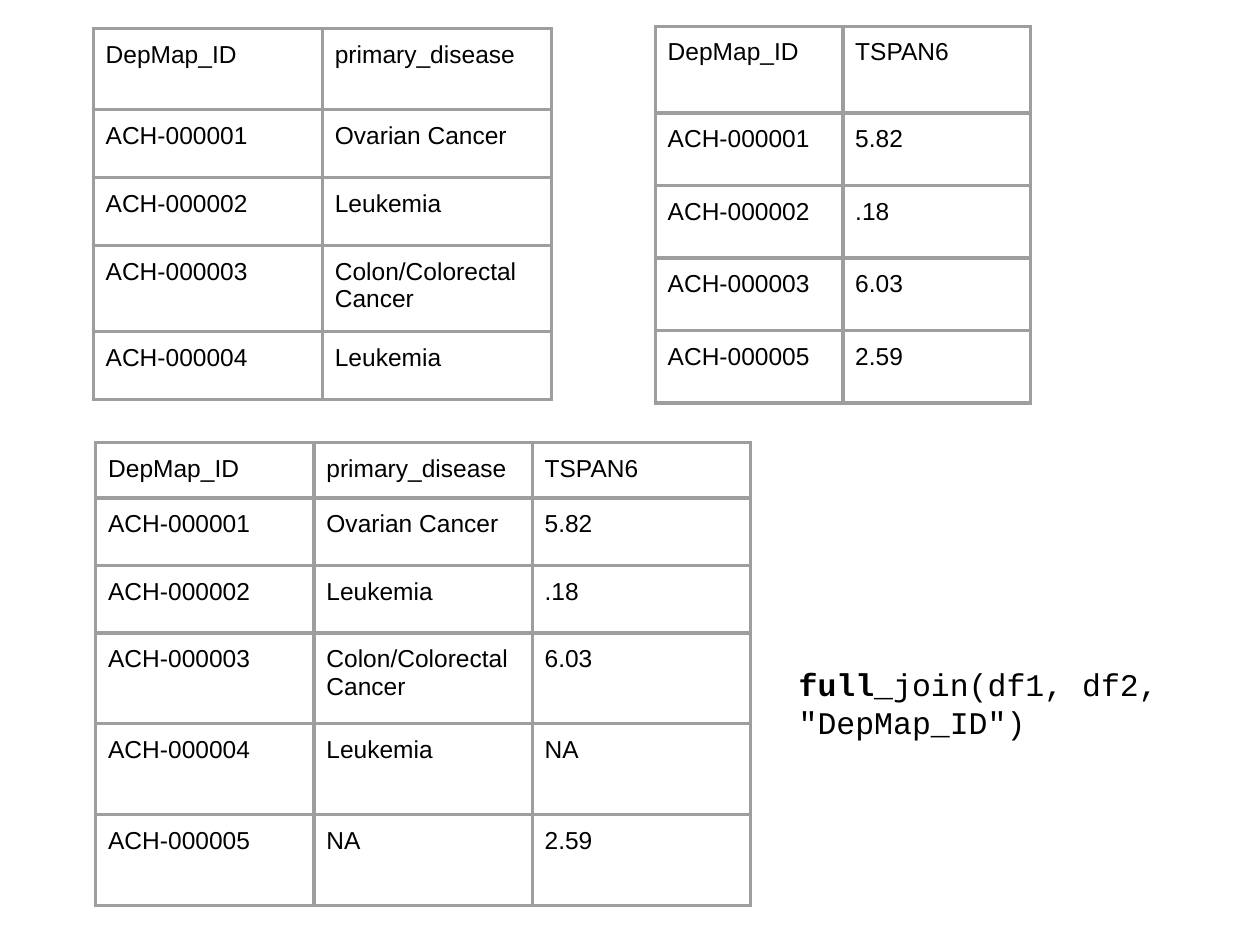
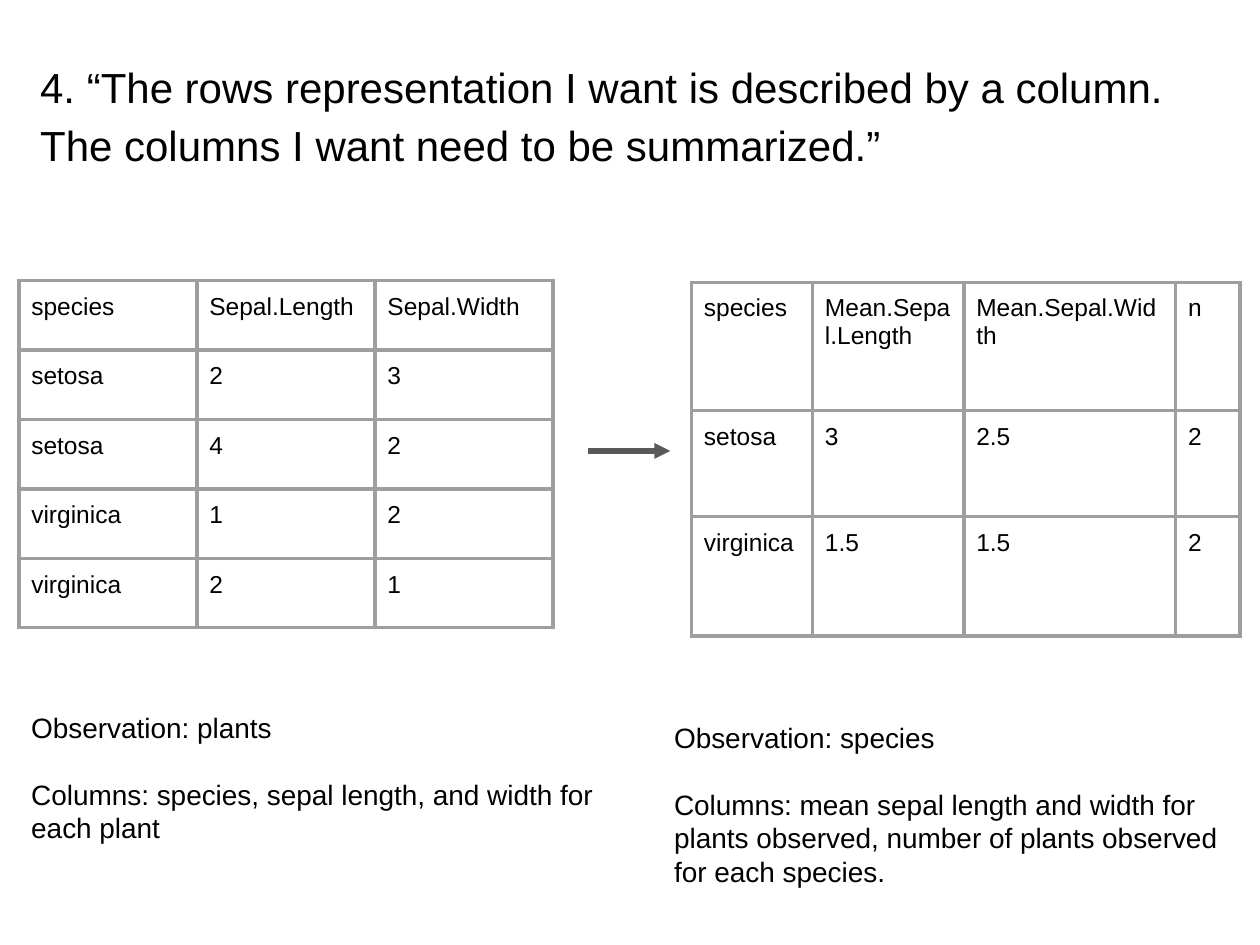
"""Build two slides on joining and summarizing data tables."""
from dataclasses import dataclass

from lxml.etree import SubElement
from pptx import Presentation
from pptx.dml.color import RGBColor
from pptx.enum.shapes import MSO_CONNECTOR
from pptx.enum.text import MSO_ANCHOR
from pptx.oxml import parse_xml
from pptx.oxml.ns import nsdecls, qn
from pptx.slide import Slide
from pptx.util import Cm, Pt

BLACK = RGBColor(0x00, 0x00, 0x00)
GRID_GRAY = RGBColor(0x9E, 0x9E, 0x9E)
ARROW_GRAY = RGBColor(0x59, 0x59, 0x59)
SANS = "Arial"
MONO = "Courier New"
INSET = Cm(0.25)
GRID_WIDTH = Pt(2.25)
BORDER_SIDES = ("lnL", "lnR", "lnT", "lnB")


@dataclass(frozen=True)
class DataTable:
    """A bordered table; lengths are in centimetres."""
    left: float
    top: float
    cols: list[float]
    heights: list[float]
    rows: list[tuple[str, ...]]


@dataclass(frozen=True)
class TextBlock:
    """A text box; lengths are in centimetres, spacing in points."""
    left: float
    top: float
    width: float
    height: float
    lines: list[tuple[str, ...]]
    size: float
    font: str = SANS
    line_spacing: float = 1.0
    gap: float = 0
    bold_first: bool = False


DISEASES = DataTable(1.88, 0.58, [4.62] * 2, [1.63, 1.37, 1.37, 1.73, 1.37], [
    ("DepMap_ID", "primary_disease"),
    ("ACH-000001", "Ovarian Cancer"),
    ("ACH-000002", "Leukemia"),
    ("ACH-000003", "Colon/Colorectal Cancer"),
    ("ACH-000004", "Leukemia"),
])
EXPRESSION = DataTable(13.21, 0.53, [3.78] * 2, [1.75] + [1.46] * 4, [
    ("DepMap_ID", "TSPAN6"),
    ("ACH-000001", "5.82"),
    ("ACH-000002", ".18"),
    ("ACH-000003", "6.03"),
    ("ACH-000005", "2.59"),
])
JOINED = DataTable(1.93, 8.92, [4.4] * 3, [1.12] + [1.36] * 2 + [1.83] * 3, [
    ("DepMap_ID", "primary_disease", "TSPAN6"),
    ("ACH-000001", "Ovarian Cancer", "5.82"),
    ("ACH-000002", "Leukemia", ".18"),
    ("ACH-000003", "Colon/Colorectal Cancer", "6.03"),
    ("ACH-000004", "Leukemia", "NA"),
    ("ACH-000005", "NA", "2.59"),
])
JOIN_CALL = TextBlock(15.85, 13.16, 9.04, 3.73,
                      [("full", '_join(df1, df2, "DepMap_ID")')],
                      18, font=MONO, bold_first=True)

TITLE = TextBlock(0.56, 0.84, 23.67, 2.11, [(
    "4. “The rows representation I want is described by a column. "
    "The columns I want need to be summarized.”",)], 24, line_spacing=1.15)
PLANTS = DataTable(0.38, 5.66, [3.59] * 3, [1.4] * 5, [
    ("species", "Sepal.Length", "Sepal.Width"),
    ("setosa", "2", "3"),
    ("setosa", "4", "2"),
    ("virginica", "1", "2"),
    ("virginica", "2", "1"),
])
SUMMARY = DataTable(13.94, 5.69, [2.44, 3.05, 4.27, 1.3], [2.59, 2.13, 2.41], [
    ("species", "Mean.Sepal.Length", "Mean.Sepal.Width", "n"),
    ("setosa", "3", "2.5", "2"),
    ("virginica", "1.5", "1.5", "2"),
])
PLANTS_NOTE = TextBlock(0.38, 14.07, 11.84, 3.91, [
    ("Observation: plants",),
    ("Columns: species, sepal length, and width for each plant",),
], 16, gap=19)
SUMMARY_NOTE = TextBlock(13.34, 14.27, 11.84, 3.91, [
    ("Observation: species",),
    ("Columns: mean sepal length and width for plants observed, "
     "number of plants observed for each species.",),
], 16, gap=19)


def style_run(r, size: float, font: str = SANS, bold: bool = False) -> None:
    """Set the font of one run."""
    r.font.size = Pt(size)
    r.font.name = font
    r.font.bold = bold
    r.font.color.rgb = BLACK


def set_insets(target) -> None:
    """Give a cell or text frame equal margins."""
    target.margin_left = target.margin_right = INSET
    target.margin_top = target.margin_bottom = INSET


def add_borders(cell) -> None:
    """Outline a cell on all four sides."""
    tc_pr = cell._tc.get_or_add_tcPr()
    for i, side in enumerate(BORDER_SIDES):
        tc_pr.insert(i, parse_xml(
            f'<a:{side} {nsdecls("a")} w="{GRID_WIDTH}"><a:solidFill>'
            f'<a:srgbClr val="{GRID_GRAY}"/></a:solidFill></a:{side}>'))


def draw_table(s: Slide, data: DataTable) -> None:
    """Draw a data table with plain gray borders."""
    table = s.shapes.add_table(
        len(data.rows), len(data.cols), Cm(data.left), Cm(data.top),
        Cm(sum(data.cols)), Cm(sum(data.heights))).table
    table.first_row = table.horz_banding = False
    for col, width in zip(table.columns, data.cols):
        col.width = Cm(width)
    for row, height, values in zip(table.rows, data.heights, data.rows):
        row.height = Cm(height)
        for cell, value in zip(row.cells, values):
            cell.text_frame.text = value
            style_run(cell.text_frame.paragraphs[0].runs[0], 14)
            set_insets(cell)
            cell.vertical_anchor = MSO_ANCHOR.TOP
            cell.fill.background()
            add_borders(cell)


def draw_text(s: Slide, block: TextBlock) -> None:
    """Draw a wrapped text box, one paragraph per line."""
    tf = s.shapes.add_textbox(Cm(block.left), Cm(block.top),
                              Cm(block.width), Cm(block.height)).text_frame
    tf.word_wrap = True
    set_insets(tf)
    for i, parts in enumerate(block.lines):
        p = tf.add_paragraph() if i else tf.paragraphs[0]
        p.line_spacing = block.line_spacing
        p.space_before = Pt(block.gap if i else 0)
        for j, part in enumerate(parts):
            r = p.add_run()
            r.text = part
            style_run(r, block.size, block.font, block.bold_first and j == 0)


def draw_arrow(s: Slide, left: float, right: float, y: float) -> None:
    """Draw a horizontal arrow pointing right."""
    arrow = s.shapes.add_connector(MSO_CONNECTOR.STRAIGHT,
                                   Cm(left), Cm(y), Cm(right), Cm(y))
    arrow.line.color.rgb = ARROW_GRAY
    arrow.line.width = Pt(3)
    SubElement(arrow.line._get_or_add_ln(), qn("a:tailEnd"), type="triangle")
    SubElement(arrow._element.spPr, qn("a:effectLst"))


def build_join_slide(s: Slide) -> None:
    """Show two tables and their full join."""
    for data in (DISEASES, EXPRESSION, JOINED):
        draw_table(s, data)
    draw_text(s, JOIN_CALL)


def build_summary_slide(s: Slide) -> None:
    """Show a table of plants summarized by species."""
    draw_text(s, TITLE)
    for data, note in ((PLANTS, PLANTS_NOTE), (SUMMARY, SUMMARY_NOTE)):
        draw_table(s, data)
        draw_text(s, note)
    draw_arrow(s, 11.86, 13.51, 9.09)


def main() -> None:
    """Build and save the presentation."""
    prs = Presentation()
    prs.slide_width, prs.slide_height = Cm(25.4), Cm(19.05)
    for build in (build_join_slide, build_summary_slide):
        build(prs.slides.add_slide(prs.slide_layouts[6]))
    prs.save("out.pptx")


if __name__ == "__main__":
    main()
